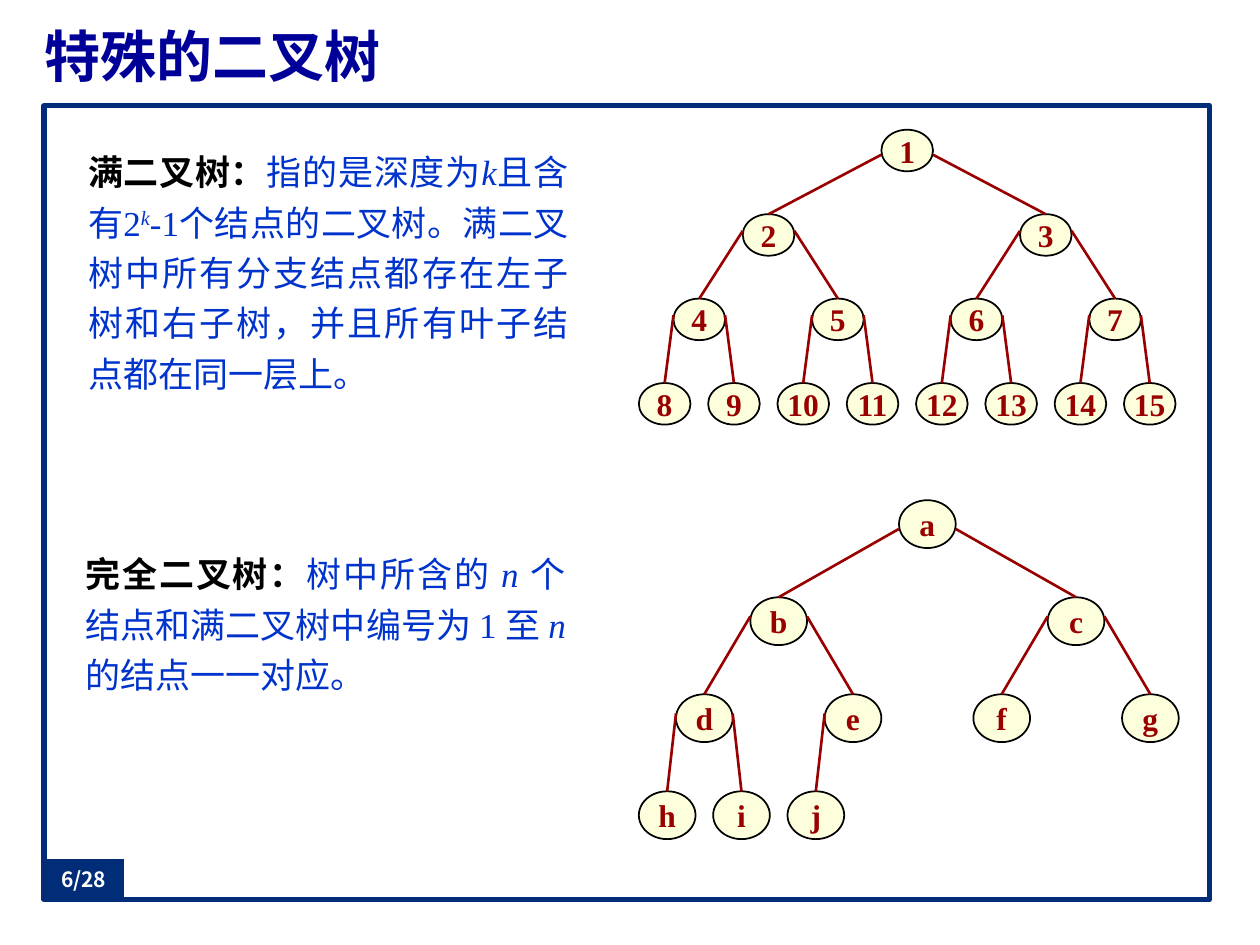
from dataclasses import dataclass
from lxml.etree import SubElement
from pptx import Presentation
from pptx.dml.color import RGBColor
from pptx.enum.shapes import MSO_CONNECTOR, MSO_SHAPE
from pptx.enum.text import MSO_ANCHOR, MSO_AUTO_SIZE, PP_ALIGN
from pptx.oxml.ns import qn
from pptx.util import Inches, Pt


@dataclass(frozen=True)
class Theme:
    latin: str = "Times New Roman"
    cjk: str = "Noto Sans CJK SC"
    title: str = "000099"
    term: str = "000000"
    body: str = "0033CC"
    node_fill: str = "FCFEDC"
    node_line: str = "000000"
    branch: str = "990000"
    navy: str = "012D78"
    badge_line: str = "032C75"
    white: str = "FFFFFF"
    title_size: int = 32
    body_size: int = 20
    node_size: int = 18
    badge_size: int = 12


@dataclass(frozen=True)
class Tree:
    labels: tuple
    left: float
    top: float
    node_width: float
    node_height: float
    leaf_pitch: float
    level_pitch: float
    depth: int = 4

    def position(self, index):
        level = (index + 1).bit_length() - 1
        order = index + 1 - 2 ** level
        span = 2 ** (self.depth - 1 - level)
        slot = (order + 0.5) * span - 0.5
        return self.left + slot * self.leaf_pitch, self.top + level * self.level_pitch


THEME = Theme()


def add_text(paragraph, text, size, color, font=THEME.latin, bold=False, italic=False, baseline=0):
    run = paragraph.add_run()
    run.text = text
    run.font.size = Pt(size)
    run.font.color.rgb = RGBColor.from_string(color)
    run.font.name = font
    run.font.bold = bold
    run.font.italic = italic
    properties = run.font._element
    SubElement(properties, qn("a:ea")).set("typeface", THEME.cjk)
    if baseline:
        properties.set("baseline", str(baseline * 1000))


def clear_margins(frame):
    frame.margin_left = frame.margin_right = frame.margin_top = frame.margin_bottom = 0


def add_panel(shapes, preset, box, fill, line, line_width):
    panel = shapes.add_shape(preset, *map(Inches, box))
    panel.shadow.inherit = False
    panel.fill.solid()
    panel.fill.fore_color.rgb = RGBColor.from_string(fill)
    panel.line.color.rgb = RGBColor.from_string(line)
    panel.line.width = Pt(line_width)
    panel.text_frame.vertical_anchor = MSO_ANCHOR.MIDDLE
    panel.text_frame.paragraphs[0].alignment = PP_ALIGN.CENTER
    return panel


def add_title(slide, text):
    title = slide.shapes.title
    title.left, title.top, title.width, title.height = map(Inches, (0.35, 0.13, 9.25, 0.62))
    frame = title.text_frame
    clear_margins(frame)
    frame.auto_size = MSO_AUTO_SIZE.NONE
    frame.vertical_anchor = MSO_ANCHOR.MIDDLE
    heading = frame.paragraphs[0]
    heading.alignment = PP_ALIGN.JUSTIFY
    add_text(heading, text, THEME.title_size, THEME.title, bold=True)


def add_definition(slide, box, term, parts):
    definition = slide.shapes.add_textbox(*map(Inches, box))
    frame = definition.text_frame
    frame.word_wrap = True
    frame.auto_size = MSO_AUTO_SIZE.SHAPE_TO_FIT_TEXT
    paragraph = frame.paragraphs[0]
    paragraph.alignment = PP_ALIGN.JUSTIFY
    paragraph.line_spacing = 1.2
    add_text(paragraph, term, THEME.body_size, THEME.term, bold=True)
    for text, style in parts:
        add_text(paragraph, text, THEME.body_size, THEME.body, **style)


def add_node(shapes, tree, index):
    box = (*tree.position(index), tree.node_width, tree.node_height)
    node = add_panel(shapes, MSO_SHAPE.OVAL, box, THEME.node_fill, THEME.node_line, 1)
    node.text_frame.word_wrap = False
    add_text(node.text_frame.paragraphs[0], tree.labels[index],
             THEME.node_size, THEME.branch, bold=True)


def add_branch(shapes, tree, child):
    parent = (child - 1) // 2
    is_right = child % 2 == 0
    parent_x, parent_y = tree.position(parent)
    child_x, child_y = tree.position(child)
    drop = 0.6 if parent == 0 else 0.4
    ends = (parent_x + is_right * tree.node_width, parent_y + drop * tree.node_height,
            child_x + tree.node_width / 2, child_y)
    branch = shapes.add_connector(MSO_CONNECTOR.STRAIGHT, *map(Inches, ends))
    branch.line.color.rgb = RGBColor.from_string(THEME.branch)
    branch.line.width = Pt(1.5)
    SubElement(branch._element.spPr, qn("a:effectLst"))


def add_tree(slide, tree):
    shapes = slide.shapes.add_group_shape().shapes
    for index in range(len(tree.labels)):
        add_node(shapes, tree, index)
    for child in range(1, len(tree.labels)):
        add_branch(shapes, tree, child)


def add_page_badge(slide, text):
    badge = add_panel(slide.shapes, MSO_SHAPE.RECTANGLE, (0.35, 6.82, 0.63, 0.31),
                      THEME.navy, THEME.badge_line, 0.75)
    clear_margins(badge.text_frame)
    add_text(badge.text_frame.paragraphs[0], text, THEME.badge_size, THEME.white,
             font=THEME.cjk, bold=True)


def main():
    presentation = Presentation()
    presentation.slide_width, presentation.slide_height = Inches(10), Inches(7.5)
    slide = presentation.slides.add_slide(presentation.slide_layouts[5])
    add_panel(slide.shapes, MSO_SHAPE.RECTANGLE, (0.35, 0.84, 9.25, 6.3),
              THEME.white, THEME.navy, 3)
    add_title(slide, "特殊的二叉树")

    plain, variable = {}, {"italic": True}
    exponent = {"italic": True, "baseline": 30}
    add_definition(slide, (0.6, 1.08, 4.01, 2.12), "满二叉树：", [
        ("指的是深度为", plain),
        ("k", variable),
        ("且含有2", plain),
        ("k", exponent),
        ("-1个结点的二叉树。满二叉树中所有分支结点都存在左子树和右子树，"
         "并且所有叶子结点都在同一层上。", plain),
    ])
    add_definition(slide, (0.58, 4.27, 4.01, 1.31), "完全二叉树：", [
        ("树中所含的 ", plain),
        ("n ", variable),
        ("个结点和满二叉树中编号为 1 至 ", plain),
        ("n ", variable),
        ("的结点一一对应。", plain),
    ])

    full_labels = tuple(str(number) for number in range(1, 16))
    add_tree(slide, Tree(full_labels, 5.07, 1.03, 0.41, 0.33, 0.55, 0.67))
    add_tree(slide, Tree(tuple("abcdefghij"), 5.07, 3.97, 0.45, 0.38, 0.59, 0.77))
    add_page_badge(slide, "6/28")
    presentation.save("out.pptx")


if __name__ == "__main__":
    main()
